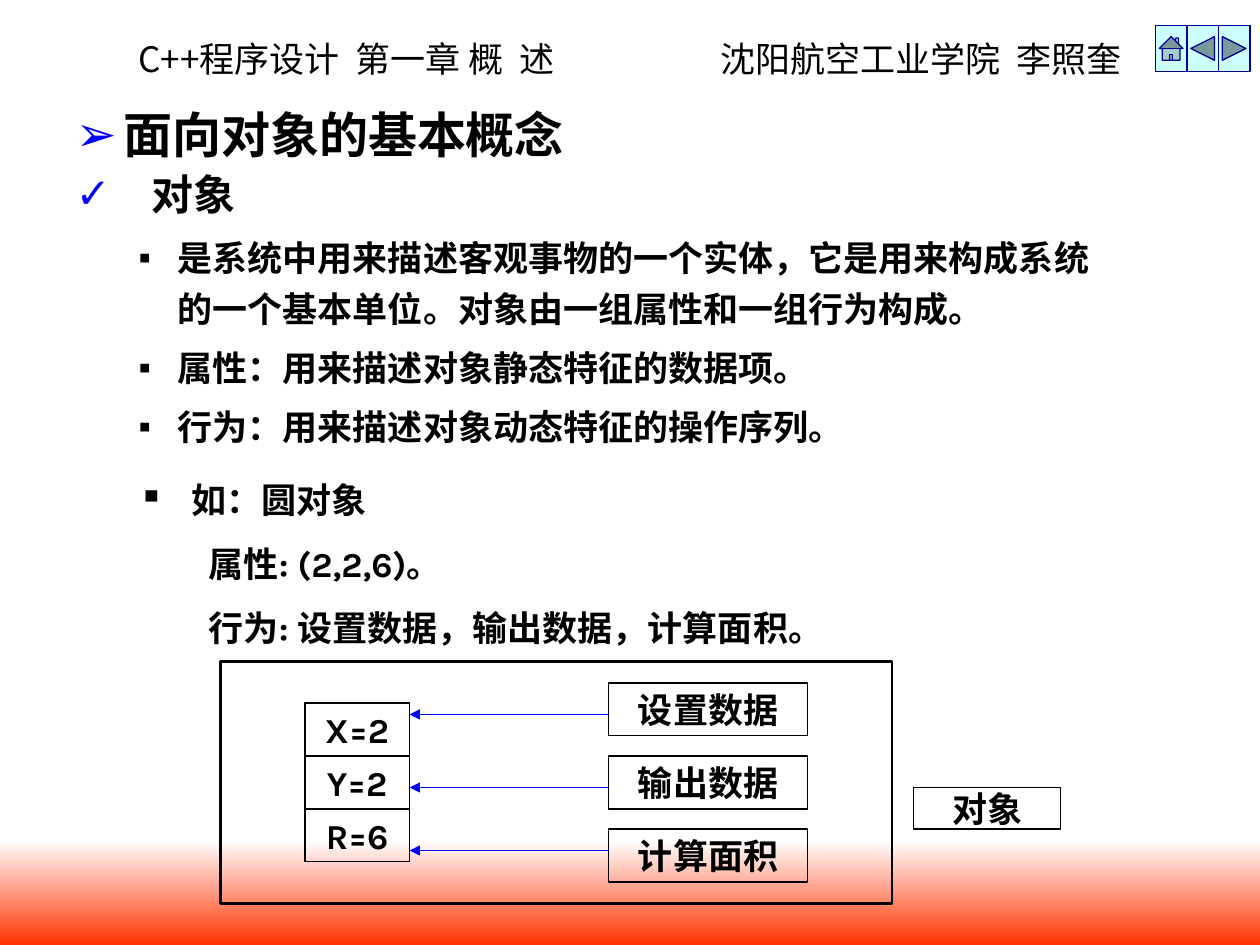
from pptx import Presentation
from pptx.dml.color import RGBColor
from pptx.enum.shapes import MSO_CONNECTOR, MSO_SHAPE
from pptx.enum.text import MSO_ANCHOR, MSO_AUTO_SIZE, PP_ALIGN
from pptx.oxml.ns import qn
from pptx.util import Inches, Pt
from lxml.etree import SubElement

COLORS = {"ink": "000000", "blue": "0000FF", "navy": "000099",
          "pale": "CCFFFF", "white": "FFFFFF", "red": "FF3300"}
HAN = "Noto Sans CJK SC"
BOLD = {"name": "Karla", "size": Pt(20), "bold": True}
PLAIN = {"name": HAN, "size": Pt(20), "bold": False}


def color(key):
    return RGBColor.from_string(COLORS[key])


def add_run(para, text, style):
    run = para.add_run()
    run.text = text
    for key, value in style.items():
        setattr(run.font, key, value)
    run.font.color.rgb = color("ink")
    SubElement(run.font._element, qn("a:ea"), typeface=HAN)


def indent(para, left, hang=0, mark=None, tint="ink"):
    """Set the margins in inches and the bullet, if there is a mark."""
    props = para._p.get_or_add_pPr()
    props.set("marL", str(Inches(left)))
    props.set("indent", str(-Inches(hang)))
    if mark:
        paint = SubElement(props, qn("a:buClr"))
        SubElement(paint, qn("a:srgbClr"), val=COLORS[tint])
        SubElement(props, qn("a:buChar"), char=mark)


def add_paras(frame, rows):
    """Fill a frame from rows of text, margins, paragraph and font formats."""
    for num, (text, margins, form, style) in enumerate(rows):
        para = frame.add_paragraph() if num else frame.paragraphs[0]
        indent(para, *margins)
        for key, value in form.items():
            setattr(para, key, value)
        if not num:
            para.space_before = Pt(0)
        add_run(para, text, style)


def add_text(shapes, *place):
    frame = shapes.add_textbox(*map(Inches, place)).text_frame
    frame.word_wrap = True
    return frame


def add_box(shapes, place, text="", width=0.75):
    box = shapes.add_shape(MSO_SHAPE.RECTANGLE, *map(Inches, place))
    box.shadow.inherit = False
    box.fill.background()
    box.line.color.rgb = color("ink")
    box.line.width = Pt(width)
    if text:
        frame = box.text_frame
        frame.word_wrap = False
        frame.vertical_anchor = MSO_ANCHOR.MIDDLE
        frame.paragraphs[0].alignment = PP_ALIGN.CENTER
        add_run(frame.paragraphs[0], text, BOLD)


def add_arrow(shapes, start, end, y):
    arrow = shapes.add_connector(MSO_CONNECTOR.STRAIGHT, Inches(start),
                                 Inches(y), Inches(end), Inches(y))
    arrow.line.color.rgb = color("blue")
    arrow.line.width = Pt(1)
    SubElement(arrow.line._get_or_add_ln(), qn("a:tailEnd"), type="triangle")
    SubElement(arrow._element.spPr, qn("a:effectLst"))


def add_header(shapes):
    para = add_text(shapes, 1, 0.25, 8.25, 0.44).paragraphs[0]
    tabs = SubElement(para._p.get_or_add_pPr(), qn("a:tabLst"))
    SubElement(tabs, qn("a:tab"), pos=str(Inches(4.62)), algn="l")
    add_run(para, "C++程序设计  第一章 概  述\t沈阳航空工业学院  李照奎", PLAIN)


def add_band(shapes):
    band = shapes.add_shape(MSO_SHAPE.RECTANGLE, Inches(0), Inches(6.67),
                            Inches(10), Inches(0.83))
    band.shadow.inherit = False
    band.line.fill.background()
    band.fill.gradient()
    band.fill.gradient_angle = 270
    for stop, key in zip(band.fill.gradient_stops, ("white", "red")):
        stop.color.rgb = color(key)


def add_buttons(shapes):
    kinds = (MSO_SHAPE.ACTION_BUTTON_HOME,
             MSO_SHAPE.ACTION_BUTTON_BACK_OR_PREVIOUS,
             MSO_SHAPE.ACTION_BUTTON_FORWARD_OR_NEXT)
    for num, kind in enumerate(kinds):
        button = shapes.add_shape(kind, Inches(9.17 + 0.25 * num),
                                  Inches(0.2), Inches(0.25), Inches(0.37))
        button.shadow.inherit = False
        button.fill.solid()
        button.fill.fore_color.rgb = color("pale")
        button.line.color.rgb = color("navy")
        button.line.width = Pt(0.75)


def fill_body(body):
    body.left, body.top, body.width, body.height = map(
        Inches, (0.5, 0.83, 8.5, 2.83))
    frame = body.text_frame
    frame.auto_size = MSO_AUTO_SIZE.NONE
    point = {"level": 1, "line_spacing": 1.2, "space_before": Pt(5)}
    head = {"line_spacing": 0.9, "space_before": Pt(6)}
    rows = [("面向对象的基本概念", (0.38, 0.38, "➢", "blue"), head,
             BOLD | {"size": Pt(28)}),
            ("对象", (0.6, 0.6, "✓", "blue"), head, BOLD | {"size": Pt(24)})]
    for text in ("是系统中用来描述客观事物的一个实体，它是用来构成系统的一个基本单位。"
                 "对象由一组属性和一组行为构成。",
                 "属性：用来描述对象静态特征的数据项。",
                 "行为：用来描述对象动态特征的操作序列。"):
        rows.append((text, (0.81, 0.31, "▪"), point, BOLD))
    add_paras(frame, rows)


def add_sample(shapes):
    gap = {"space_before": Pt(12.5)}
    add_paras(add_text(shapes, 1, 3.75, 7.83, 1.45), [
        ("如：圆对象", (0.42, 0.42, "▪"), gap, BOLD),
        ("属性: (2,2,6)。", (0.56,), gap, BOLD),
        ("行为: 设置数据，输出数据，计算面积。", (0.56,), gap, BOLD)])


def add_diagram(shapes):
    group = shapes.add_group_shape().shapes
    add_box(group, (1.75, 5.25, 5.33, 1.92), width=1.5)
    for num, text in enumerate(("设置数据", "输出数据", "计算面积")):
        add_box(group, (4.83, 5.42 + 0.58 * num, 1.58, 0.42), text)
    for y in (5.67, 6.25, 6.75):
        add_arrow(group, 4.83, 3.25, y)
    for num, text in enumerate(("X=2", "Y=2", "R=6")):
        add_box(group, (2.42, 5.58 + 0.42 * num, 0.83, 0.42), text)
    add_box(group, (7.25, 6.25, 1.17, 0.33), "对象")


def main():
    deck = Presentation()
    deck.slide_width, deck.slide_height = Inches(10), Inches(7.5)
    slide = deck.slides.add_slide(deck.slide_layouts[1])
    shapes = slide.shapes
    title = shapes.title._element
    title.getparent().remove(title)
    add_header(shapes)
    add_band(shapes)
    add_buttons(shapes)
    fill_body(slide.placeholders[1])
    add_sample(shapes)
    add_diagram(shapes)
    deck.save("out.pptx")


if __name__ == "__main__":
    main()
